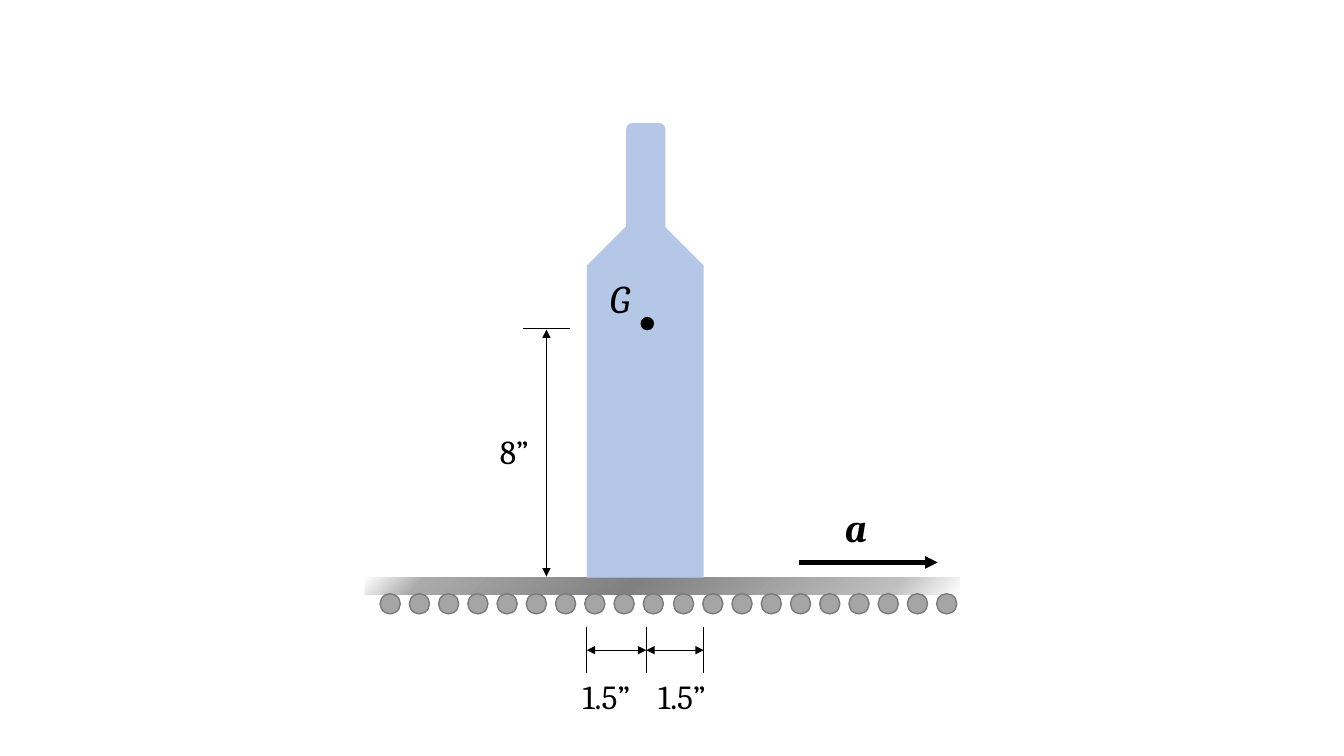
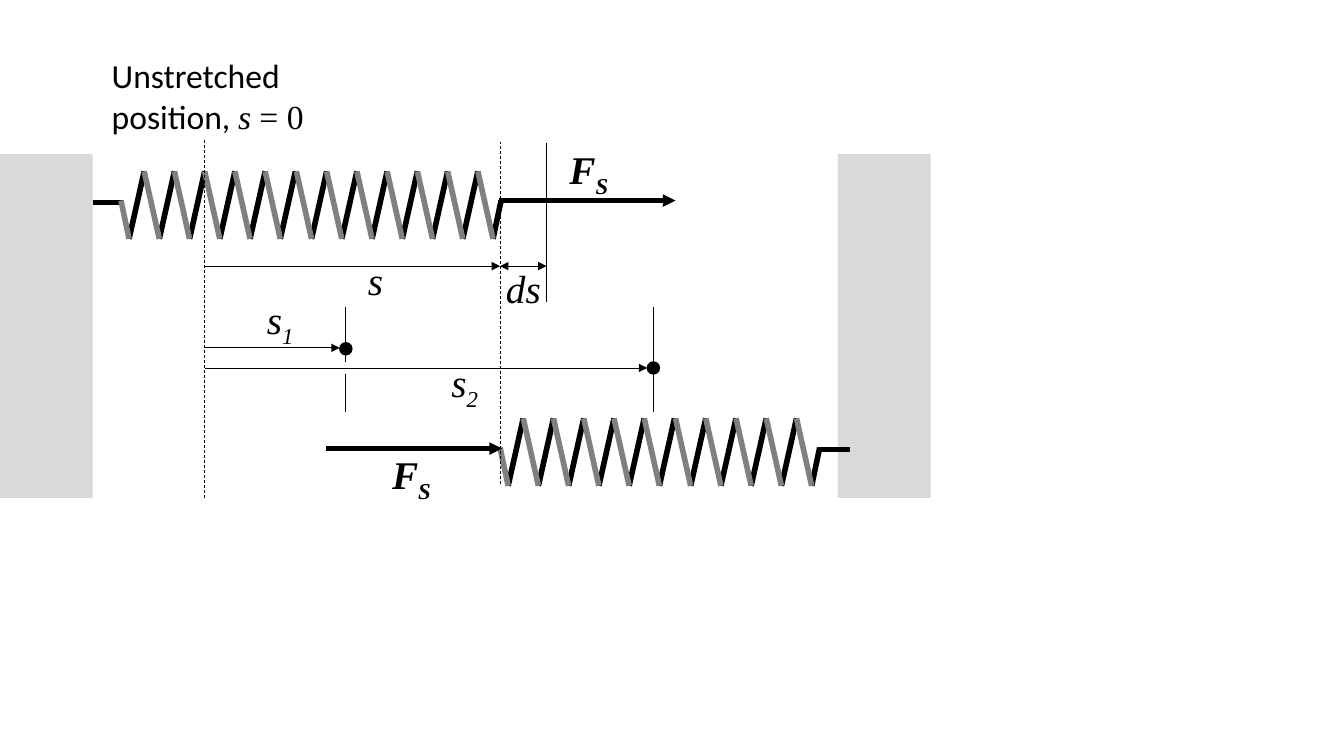
"""Draw two mechanics figures: a bottle on a conveyor and a pair of springs."""
from dataclasses import dataclass

from pptx import Presentation
from pptx.dml.color import RGBColor
from pptx.enum.dml import MSO_LINE
from pptx.enum.shapes import MSO_CONNECTOR, MSO_SHAPE as PRESET
from pptx.oxml import parse_xml
from pptx.oxml.ns import nsdecls, qn
from pptx.util import Pt


@dataclass(frozen=True)
class Theme:
    black: str = "000000"
    grey: str = "808080"
    wall: str = "D9D9D9"
    bottle: str = "B4C7E7"
    roller: str = "A5A5A5"
    roller_edge: str = "7A7A7A"
    belt: tuple = ((0, "FFFFFF"), (12, "BFBFBF"), (55, "808080"), (90, "AAAAAA"), (100, "FFFFFF"))
    symbol: int = 28
    note: int = 24
    thin: float = 0.5
    edge: int = 1
    force: int = 3
    wire: int = 4
    sans: str = "Calibri"
    serif: str = "Cambria"
    roman: str = "Times New Roman"


THEME = Theme()
PX = 9144


def draw_shape(page, preset, left, top, width, height, fill, edge=None):
    shape = page.shapes.add_shape(preset, left * PX, top * PX, width * PX, height * PX)
    shape.shadow.inherit = False
    shape.fill.solid()
    shape.fill.fore_color.rgb = RGBColor.from_string(fill)
    if edge:
        shape.line.color.rgb = RGBColor.from_string(edge)
        shape.line.width = Pt(THEME.edge)
    else:
        shape.line.fill.background()
    return shape


def draw_line(shapes, x1, y1, x2, y2, weight=THEME.thin, color=THEME.black, arrows=(), dashed=False):
    line = shapes.add_connector(MSO_CONNECTOR.STRAIGHT, x1 * PX, y1 * PX, x2 * PX, y2 * PX)
    line.line.color.rgb = RGBColor.from_string(color)
    line.line.width = Pt(weight)
    if dashed:
        line.line.dash_style = MSO_LINE.DASH
    for end in arrows:
        line.get_or_add_ln().append(parse_xml(f'<a:{end} {nsdecls("a")} type="triangle"/>'))
    line.element.spPr.append(parse_xml(f'<a:effectLst {nsdecls("a")}/>'))


TO = ("tailEnd",)
BOTH = ("headEnd", "tailEnd")

deck = Presentation()
deck.slide_width, deck.slide_height = 1333 * PX, 750 * PX
blank = deck.slide_layouts[6]
bottle_page = deck.slides.add_slide(blank)
spring_page = deck.slides.add_slide(blank)

belt = draw_shape(bottle_page, PRESET.RECTANGLE, 362, 573, 590, 17, THEME.grey)
stops = "".join(
    f'<a:gs pos="{place * 1000}"><a:srgbClr val="{color}"/></a:gs>' for place, color in THEME.belt
)
gradient = parse_xml(
    f'<a:gradFill {nsdecls("a")} rotWithShape="1"><a:gsLst>{stops}</a:gsLst>'
    '<a:path path="circle"><a:fillToRect l="100000" t="100000"/></a:path></a:gradFill>'
)
belt_fill = belt.element.spPr.find(qn("a:solidFill"))
belt.element.spPr.replace(belt_fill, gradient)

for index in range(20):
    left = round(377 + index * 29.05)
    draw_shape(bottle_page, PRESET.OVAL, left, 589, 20, 20, THEME.roller, THEME.roller_edge)

body = draw_shape(bottle_page, PRESET.SNIP_2_SAME_RECTANGLE, 582, 223, 116, 350, THEME.bottle)
body.adjustments[0], body.adjustments[1] = 0.35, 0
draw_shape(bottle_page, PRESET.ROUNDED_RECTANGLE, 621, 122, 39, 144, THEME.bottle)

draw_line(bottle_page.shapes, 792, 558, 930, 558, THEME.force, arrows=TO)
draw_line(bottle_page.shapes, 542, 572, 542, 327, arrows=BOTH)
draw_line(bottle_page.shapes, 519, 326, 565, 326)
for x in (582, 641, 698):
    draw_line(bottle_page.shapes, x, 622, x, 668)
for left, right in ((582, 641), (641, 698)):
    draw_line(bottle_page.shapes, left, 645, right, 645, arrows=BOTH)

for left in (0, 831):
    draw_shape(spring_page, PRESET.RECTANGLE, left, 153, 92, 341, THEME.wall)

for start, top, coils, lead_left, lead_right in ((128, 170, 12, 92, 123), (504, 415, 10, 812, 843)):
    spring = spring_page.shapes.add_group_shape().shapes
    bottom, middle = top + 67, top + 29
    feet = [round(start + index * 30.1) for index in range(coils + 1)]
    for foot in feet[:-1]:
        draw_line(spring, foot, bottom, foot + 15, top, THEME.wire)
    draw_line(spring, feet[-1], bottom, feet[-1] + 8, middle, THEME.wire)
    for foot in feet[1:]:
        draw_line(spring, foot, bottom, foot - 15, top, THEME.wire, THEME.grey)
    draw_line(spring, lead_left, top + 31, lead_right, top + 31, THEME.wire)
    draw_line(spring, start, bottom, start - 8, middle, THEME.wire, THEME.grey)

for x, top, bottom in ((203, 139, 494), (496, 141, 480)):
    draw_line(spring_page.shapes, x, bottom, x, top, dashed=True)
for x, top, bottom in ((542, 142, 300), (343, 305, 359), (343, 371, 409), (648, 305, 409)):
    draw_line(spring_page.shapes, x, bottom, x, top)
for right, y in ((496, 264), (337, 345), (642, 365)):
    draw_line(spring_page.shapes, 203, y, right, y, arrows=TO)
draw_line(spring_page.shapes, 496, 264, 542, 264, arrows=BOTH)
for left, y in ((495, 199), (323, 445)):
    draw_line(spring_page.shapes, left, y, left + 175, y, THEME.force, arrows=TO)

for page, left, top in ((bottle_page, 636, 315), (spring_page, 337, 340), (spring_page, 642, 359)):
    draw_shape(page, PRESET.OVAL, left, top, 12, 12, THEME.black, THEME.black)

force_label = (("F", THEME.roman, "bold italic"), ("S", THEME.roman, "bold italic sub"))
labels = (
    (bottle_page, 595, 267, 92, 57, THEME.symbol, (("G", THEME.serif, "italic"),)),
    (bottle_page, 828, 494, 92, 57, THEME.symbol, (("a", THEME.serif, "bold italic"),)),
    (bottle_page, 486, 423, 92, 50, THEME.note, (("8”", THEME.serif, ""),)),
    (bottle_page, 568, 666, 107, 50, THEME.note, (("1.5”", THEME.serif, ""),)),
    (bottle_page, 643, 666, 107, 50, THEME.note, (("1.5”", THEME.serif, ""),)),
    (spring_page, 101, 50, 246, 91, THEME.note, (
        ("Unstretched position, ", THEME.sans, ""),
        ("s", THEME.roman, "italic"),
        (" = 0", THEME.roman, ""),
    )),
    (spring_page, 355, 249, 50, 48, THEME.symbol, (("s", THEME.roman, "italic"),)),
    (spring_page, 492, 257, 78, 48, THEME.symbol, (("ds", THEME.roman, "italic"),)),
    (spring_page, 255, 288, 50, 48, THEME.symbol, (
        ("s", THEME.roman, "italic"), ("1", THEME.roman, "italic sub"),
    )),
    (spring_page, 438, 351, 50, 48, THEME.symbol, (
        ("s", THEME.roman, "italic"), ("2", THEME.roman, "italic sub"),
    )),
    (spring_page, 555, 139, 67, 48, THEME.symbol, force_label),
    (spring_page, 379, 442, 67, 48, THEME.symbol, force_label),
)
for page, left, top, width, height, size, spans in labels:
    box = page.shapes.add_textbox(left * PX, top * PX, width * PX, height * PX)
    box.text_frame.word_wrap = True
    para = box.text_frame.paragraphs[0]
    for text, face, style in spans:
        span = para.add_run()
        span.text = text
        span.font.name = face
        span.font.size = Pt(size)
        span.font.bold = "bold" in style
        span.font.italic = "italic" in style
        span.font.color.rgb = RGBColor.from_string(THEME.black)
        if "sub" in style:
            span.font._element.set("baseline", "-25000")

deck.save("out.pptx")
